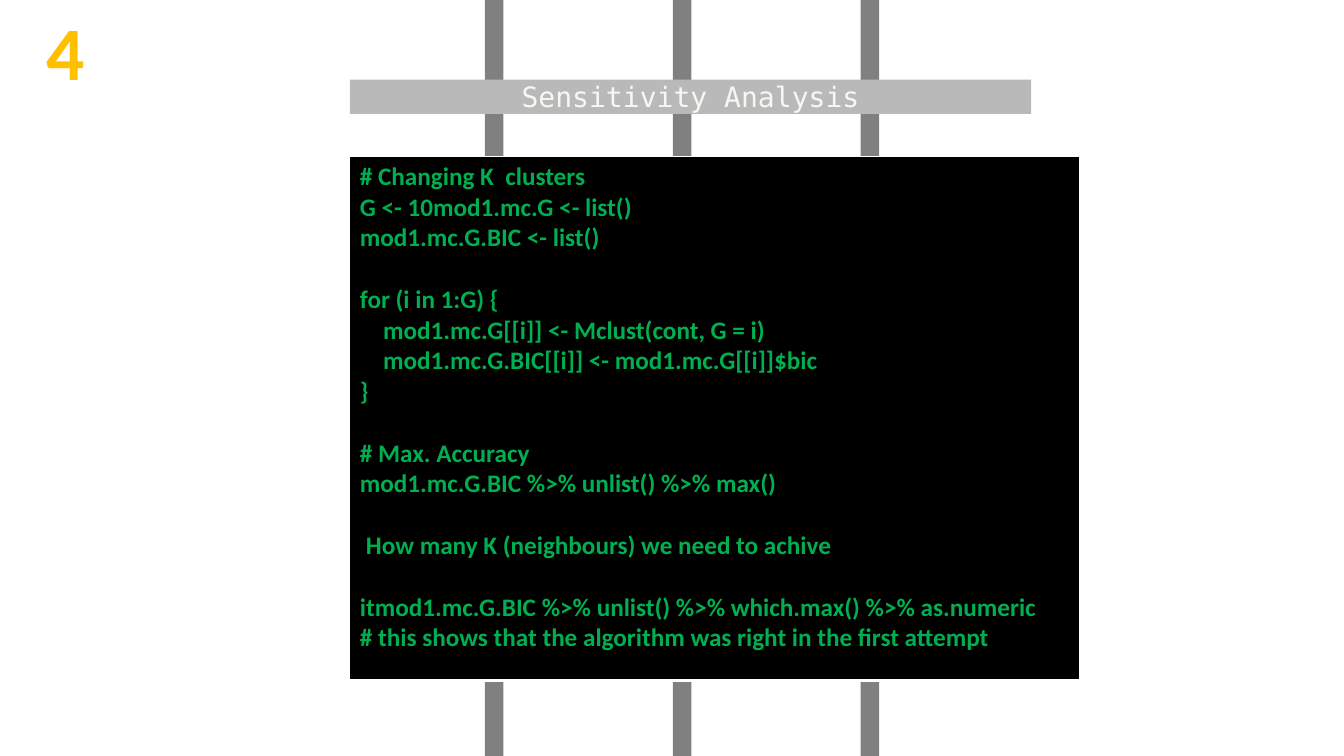
from dataclasses import dataclass

from lxml import etree
from pptx import Presentation
from pptx.dml.color import RGBColor
from pptx.enum.shapes import MSO_SHAPE
from pptx.enum.text import MSO_ANCHOR, MSO_AUTO_SIZE, PP_ALIGN
from pptx.oxml.ns import qn
from pptx.util import Inches, Pt

RECTANGLE = MSO_SHAPE.RECTANGLE
MIDDLE, TOP = MSO_ANCHOR.MIDDLE, MSO_ANCHOR.TOP
CENTER, LEFT = PP_ALIGN.CENTER, PP_ALIGN.LEFT
NO_FIT = MSO_AUTO_SIZE.NONE
TITLE_ONLY = 5
WIDTH, HEIGHT = Inches(13.33), Inches(7.5)


@dataclass(frozen=True)
class Theme:
    """Colours, fonts and type sizes of the slide."""
    bar: str = "808080"
    banner: str = "B9B9B9"
    banner_text: str = "F8F8F2"
    panel: str = "000000"
    code: str = "00B050"
    number: str = "FFC000"
    border: str = "FFFFFF"
    body_font: str = "Calibri"
    mono_font: str = "DejaVu Sans Mono"
    code_size: int = 18
    title_size: int = 20
    number_size: int = 54
    code_line: int = 22


@dataclass(frozen=True)
class Area:
    """A rectangle in percent of the slide's width and height."""
    left: float
    top: float
    width: float
    height: float

    def box(self) -> tuple[int, int, int, int]:
        """Return left, top, width and height as lengths."""
        return (int(WIDTH * self.left / 100), int(HEIGHT * self.top / 100),
                int(WIDTH * self.width / 100), int(HEIGHT * self.height / 100))


@dataclass(frozen=True)
class CodeLine:
    """A line of code with its indent in inches and the lines left free above."""
    text: str
    indent: float = 0
    gap: int = 0


THEME = Theme()
BARS = [Area(36.08 + 13.98 * index, 0, 1.38, 100) for index in range(3)]
BANNER = Area(26.03, 10.53, 50.7, 4.53)
PANEL = Area(26.03, 20.67, 54.3, 69.33)
NUMBER = Area(2.7, 0, 4.43, 13.47)
BORDERS = {"a:lnL": 1, "a:lnR": 1, "a:lnT": 1, "a:lnB": 3}
CODE = [
    CodeLine("# Changing K  clusters"),
    CodeLine("G <- 10mod1.mc.G <- list()"),
    CodeLine("mod1.mc.G.BIC <- list()"),
    CodeLine("for (i in 1:G) {", gap=1),
    CodeLine("mod1.mc.G[[i]] <- Mclust(cont, G = i)", indent=0.23),
    CodeLine("mod1.mc.G.BIC[[i]] <- mod1.mc.G[[i]]$bic", indent=0.23),
    CodeLine("}"),
    CodeLine("# Max. Accuracy", gap=1),
    CodeLine("mod1.mc.G.BIC %>% unlist() %>% max()"),
    CodeLine("How many K (neighbours) we need to achive", indent=0.06, gap=1),
    CodeLine("itmod1.mc.G.BIC %>% unlist() %>% which.max() %>% as.numeric", gap=1),
    CodeLine("# this shows that the algorithm was right in the first attempt"),
]


def write(para, text: str, *, size: int, color: str, font: str,
          bold: bool = False, align=LEFT) -> None:
    """Write text into a paragraph with the given format."""
    para.alignment = align
    span = para.add_run()
    span.text = text
    span.font.size = Pt(size)
    span.font.name = font
    span.font.bold = bold
    span.font.color.rgb = RGBColor.from_string(color)


def paint(shape, color: str) -> None:
    """Give a shape a plain fill."""
    shape.fill.solid()
    shape.fill.fore_color.rgb = RGBColor.from_string(color)


def add_bar(page, area: Area) -> None:
    """Draw one vertical bar."""
    bar = page.shapes.add_shape(RECTANGLE, *area.box())
    paint(bar, THEME.bar)
    bar.line.fill.background()
    bar.shadow.inherit = False


def place_title(page, text: str) -> None:
    """Turn the title placeholder into a banner in front of the bars."""
    title = page.shapes.title
    title.left, title.top, title.width, title.height = BANNER.box()
    title.element.getparent().append(title.element)
    paint(title, THEME.banner)
    frame = title.text_frame
    frame.auto_size = NO_FIT
    frame.word_wrap = True
    frame.vertical_anchor = MIDDLE
    frame.margin_left = frame.margin_right = 0
    frame.margin_top = frame.margin_bottom = 0
    write(frame.paragraphs[0], text, size=THEME.title_size,
          color=THEME.banner_text, font=THEME.mono_font, align=CENTER)


def add_borders(cell) -> None:
    """Draw the borders of a table cell."""
    properties = cell._tc.get_or_add_tcPr()
    for index, (tag, width) in enumerate(BORDERS.items()):
        line = etree.Element(qn(tag), w=str(Pt(width)))
        fill = etree.SubElement(line, qn("a:solidFill"))
        etree.SubElement(fill, qn("a:srgbClr"), val=THEME.border)
        properties.insert(index, line)


def add_code(page, lines: list[CodeLine]) -> None:
    """Draw the code panel as a table of one cell."""
    table = page.shapes.add_table(1, 1, *PANEL.box()).table
    cell = table.cell(0, 0)
    cell.vertical_anchor = TOP
    paint(cell, THEME.panel)
    add_borders(cell)
    frame = cell.text_frame
    for index, line in enumerate(lines):
        para = frame.add_paragraph() if index else frame.paragraphs[0]
        para.space_before = Pt(line.gap * THEME.code_line)
        para._p.get_or_add_pPr().set("marL", str(Inches(line.indent)))
        write(para, line.text, size=THEME.code_size, color=THEME.code,
              font=THEME.body_font, bold=True)


def add_number(page, text: str) -> None:
    """Draw the slide's large number."""
    frame = page.shapes.add_textbox(*NUMBER.box()).text_frame
    frame.word_wrap = False
    write(frame.paragraphs[0], text, size=THEME.number_size,
          color=THEME.number, font=THEME.body_font, bold=True, align=CENTER)


def main() -> None:
    """Build the deck and save it."""
    deck = Presentation()
    deck.slide_width, deck.slide_height = WIDTH, HEIGHT
    page = deck.slides.add_slide(deck.slide_layouts[TITLE_ONLY])
    for area in BARS:
        add_bar(page, area)
    place_title(page, "Sensitivity Analysis")
    add_code(page, CODE)
    add_number(page, "4")
    deck.save("out.pptx")


if __name__ == "__main__":
    main()
